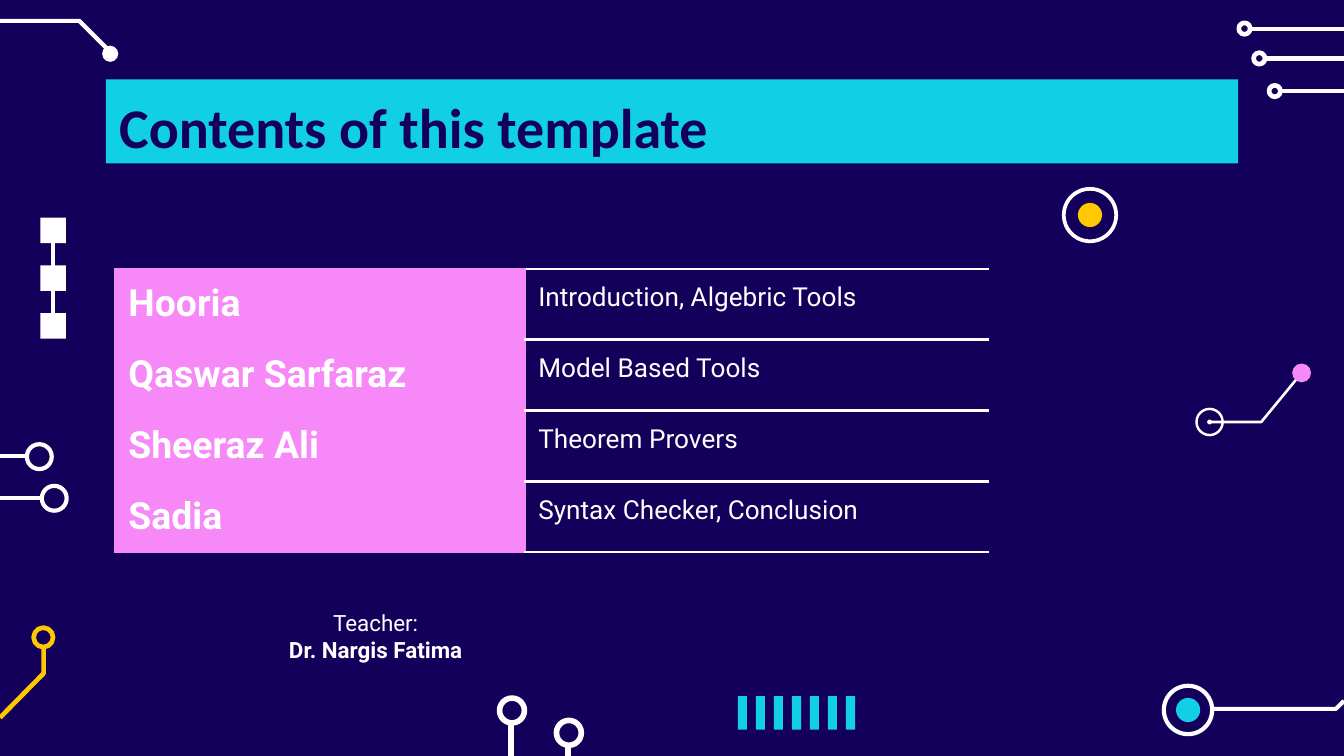
from lxml import etree
from pptx import Presentation
from pptx import util as u
from pptx.dml.color import RGBColor
from pptx.enum import shapes, text
from pptx.oxml.ns import qn

COLORS = {"navy": "13005B", "cyan": "11CFE7", "pink": "F788F7",
          "yellow": "FFC800", "white": "FFFFFF"}
WIDTH = 100  # the slide in grid columns
HEIGHT = WIDTH * 9 / 16
CELL = u.Inches(0.1)
INSET = 1
HEAD_FONT, BODY_FONT = "Calibri", "Roboto"

AGENDA = [("Hooria", "Introduction, Algebric Tools"),
          ("Qaswar Sarfaraz", "Model Based Tools"),
          ("Sheeraz Ali", "Theorem Provers"),
          ("Sadia", "Syntax Checker, Conclusion")]


def grid(*lengths):
    return [u.Emu(round(n * CELL)) for n in lengths]


def rgb(name):
    return RGBColor.from_string(COLORS[name])


class Deck:
    def __init__(self):
        self.prs = Presentation()
        self.prs.slide_width, self.prs.slide_height = grid(WIDTH, HEIGHT)
        self.slide = self.prs.slides.add_slide(self.prs.slide_layouts[5])
        self.slide.background.fill.solid()
        self.slide.background.fill.fore_color.rgb = rgb("navy")

    def run(self, paragraph, words, size, color="white", font=BODY_FONT, bold=False):
        run = paragraph.add_run()
        run.text = words
        run.font.size = u.Pt(size)
        run.font.name = font
        run.font.bold = bold
        run.font.color.rgb = rgb(color)

    def inset(self, holder):
        (holder.margin_left, holder.margin_top,
         holder.margin_right, holder.margin_bottom) = grid(*[INSET] * 4)
        holder.vertical_anchor = text.MSO_ANCHOR.TOP

    def title(self, words, x, y, w, h):
        title = self.slide.shapes.title
        title.left, title.top, title.width, title.height = grid(x, y, w, h)
        title.fill.solid()
        title.fill.fore_color.rgb = rgb("cyan")
        frame = title.text_frame
        frame.auto_size = text.MSO_AUTO_SIZE.NONE
        self.inset(frame)
        paragraph = frame.paragraphs[0]
        paragraph.alignment = text.PP_ALIGN.LEFT
        self.run(paragraph, words, 30, "navy", HEAD_FONT, True)

    def caption(self, label, name, x, y, w, h):
        frame = self.slide.shapes.add_textbox(*grid(x, y, w, h)).text_frame
        frame.word_wrap = True
        self.inset(frame)
        paragraph = frame.paragraphs[0]
        paragraph.alignment = text.PP_ALIGN.CENTER
        self.run(paragraph, label, 12)
        paragraph.add_line_break()
        self.run(paragraph, name, 12, bold=True)

    def borders(self, cell, **sides):
        """Set each side (L, R, T, B) to a colour name, or to no line."""
        props = cell._tc.get_or_add_tcPr()
        for side in "LRTB":
            edge = etree.SubElement(props, qn("a:ln" + side), w=str(u.Pt(1.5)))
            if side in sides:
                fill = etree.SubElement(edge, qn("a:solidFill"))
                etree.SubElement(fill, qn("a:srgbClr"), val=COLORS[sides[side]])
            else:
                etree.SubElement(edge, qn("a:noFill"))

    def agenda(self, rows, x, y, widths, row_height):
        table = self.slide.shapes.add_table(
            len(rows), len(widths),
            *grid(x, y, sum(widths), row_height * len(rows))).table
        table.first_row = table.horz_banding = False
        for column, width in zip(table.columns, grid(*widths)):
            column.width = width
        for row, (speaker, topic) in enumerate(rows):
            name_cell, topic_cell = table.cell(row, 0), table.cell(row, 1)
            self.inset(name_cell)
            self.inset(topic_cell)
            self.borders(name_cell, L="pink", R="pink", T="pink", B="pink")
            self.borders(topic_cell, L="pink", T="white", B="white")
            name_cell.fill.solid()
            name_cell.fill.fore_color.rgb = rgb("pink")
            topic_cell.fill.background()
            self.run(name_cell.text_frame.paragraphs[0], speaker, 20, bold=True)
            paragraph = topic_cell.text_frame.paragraphs[0]
            paragraph.space_after = u.Pt(16)
            self.run(paragraph, topic, 14)

    def block(self, kind, x, y, w, h, color):
        block = self.slide.shapes.add_shape(kind, *grid(x, y, w, h))
        block.shadow.inherit = False
        block.fill.solid()
        block.fill.fore_color.rgb = rgb(color)
        block.line.fill.background()
        return block

    def bar(self, x, y, w, h, color):
        self.block(shapes.MSO_SHAPE.RECTANGLE, x, y, w, h, color)

    def dot(self, x, y, size, color="white"):
        """A filled circle, placed by its centre."""
        return self.block(shapes.MSO_SHAPE.OVAL, x - size / 2, y - size / 2,
                          size, size, color)

    def ring(self, x, y, size, weight, color="white"):
        ring = self.dot(x, y, size, color)
        ring.fill.background()
        ring.line.color.rgb = rgb(color)
        ring.line.width = u.Pt(weight)

    def trace(self, points, weight, color="white"):
        """A circuit line: a connector if straight, else an open outline."""
        ends = [grid(*point) for point in points]
        if len(ends) == 2:
            trace = self.slide.shapes.add_connector(
                shapes.MSO_CONNECTOR.STRAIGHT, *ends[0], *ends[1])
            etree.SubElement(trace._element.spPr, qn("a:effectLst"))
        else:
            builder = self.slide.shapes.build_freeform(*ends[0])
            builder.add_line_segments(ends[1:], close=False)
            trace = builder.convert_to_shape()
            trace.shadow.inherit = False
            trace.fill.background()
        trace.line.color.rgb = rgb(color)
        trace.line.width = u.Pt(weight)

    def edge_circuits(self):
        self.trace([(0, 1.55), (5.9, 1.55), (7.95, 3.6)], 2.25)
        self.dot(8.2, 4, 1.2)
        for x, y in [(92.6, 2.13), (93.7, 4.35), (94.85, 6.78)]:
            self.trace([(x + 0.4, y), (WIDTH, y)], 2.25)
            self.ring(x, y, 0.85, 2.5)
        for x, y in [(2.93, 33.98), (4.04, 37.08)]:
            self.trace([(0, y - 0.05), (x - 0.9, y - 0.05)], 2.25)
            self.ring(x, y, 1.85, 2.25)
        for x, y in [(38.1, 52.87), (42.33, 54.53)]:
            self.trace([(x - 0.07, y + 0.9), (x - 0.07, HEIGHT)], 3)
            self.ring(x, y, 1.85, 3)
        self.trace([(3.25, 48.2), (3.25, 50.1), (0, 53.4)], 2.5, "yellow")
        self.ring(3.23, 47.43, 1.45, 2.5, "yellow")
        self.trace([(90.2, 52.75), (99.4, 52.75), (WIDTH, 52.15)], 2.25)

    def ornaments(self):
        self.trace([(3.93, 16.7), (3.93, 24.2)], 2.25)
        for row in range(3):
            self.bar(3, 16.2 + 3.55 * row, 1.9, 1.9, "white")
        for column in range(7):
            self.bar(54.9 + 1.34 * column, 51.8, 0.68, 2.5, "cyan")
        for x, y, size, weight, color in [(81.1, 16, 3.9, 2, "yellow"),
                                          (88.4, 52.83, 3.6, 2.25, "cyan")]:
            self.ring(x, y, size, weight)
            self.dot(x, y, 1.8, color)
        self.trace([(90, 31.4), (93.85, 31.4), (96.85, 27.75)], 1.4)
        self.ring(90, 31.4, 1.95, 1.3)
        self.dot(90, 31.4, 0.36)
        self.dot(96.85, 27.75, 1.4, "pink")


def main():
    deck = Deck()
    deck.edge_circuits()
    deck.title("Contents of this template", 7.87, 5.9, 84.26, 6.25)
    deck.agenda(AGENDA, 8.55, 20, (30.5, 34.5), 5.26)
    deck.caption("Teacher:", "Dr. Nargis Fatima", 8.55, 44.35, 38.8, 5.5)
    deck.ornaments()
    deck.prs.save("out.pptx")


if __name__ == "__main__":
    main()
